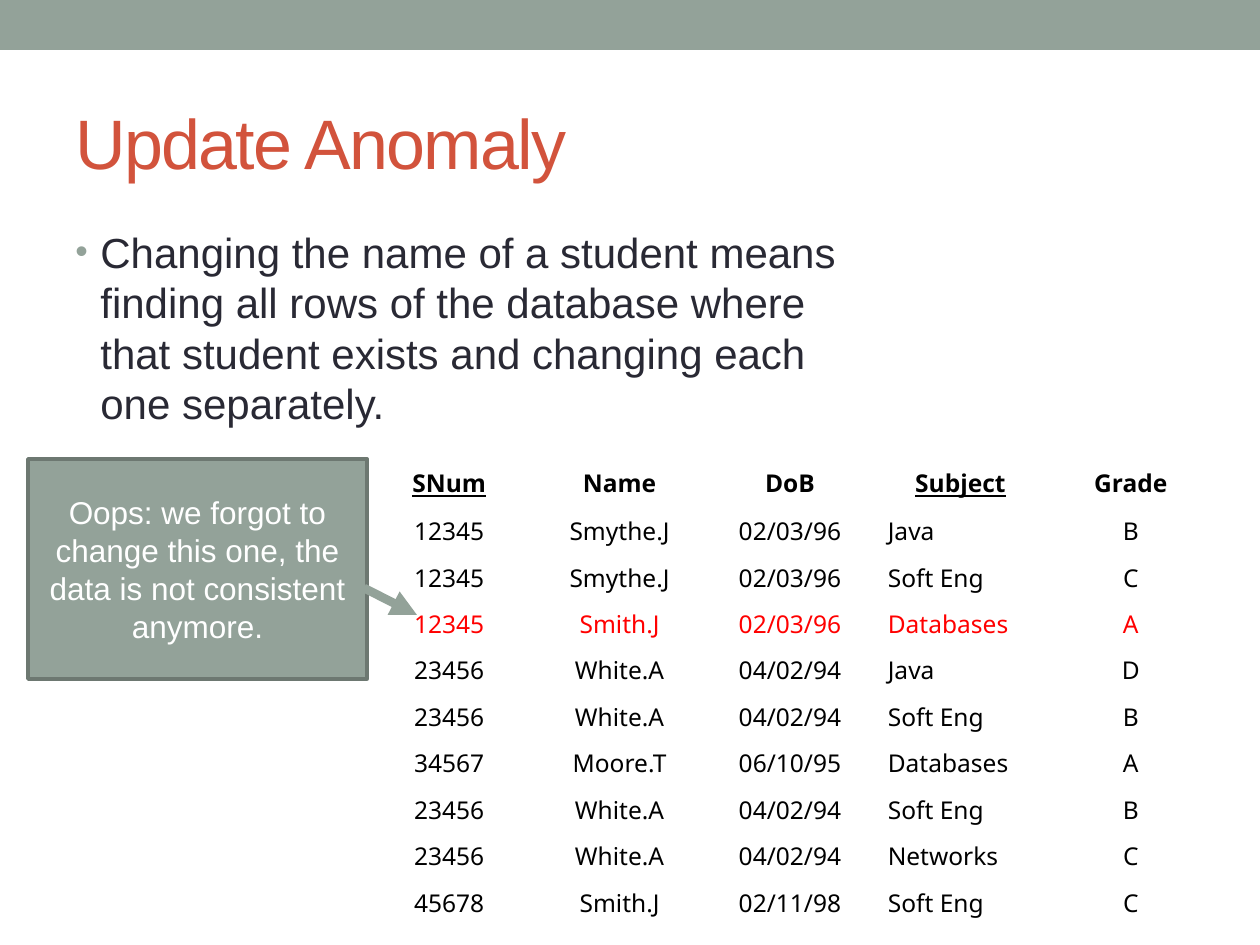
from dataclasses import dataclass
from typing import Any, NamedTuple

from lxml import etree
from pptx import Presentation
from pptx.dml.color import RGBColor
from pptx.enum.shapes import MSO_CONNECTOR, MSO_SHAPE
from pptx.enum.text import MSO_ANCHOR, PP_ALIGN
from pptx.oxml.ns import qn
from pptx.util import Pt

LEFT, CENTER = PP_ALIGN.LEFT, PP_ALIGN.CENTER
TOP, MIDDLE = MSO_ANCHOR.TOP, MSO_ANCHOR.MIDDLE
RECTANGLE = MSO_SHAPE.RECTANGLE
STRAIGHT = MSO_CONNECTOR.STRAIGHT
EMU_PER_PIXEL = 914400 / 126


@dataclass(frozen=True)
class Theme:
    """Colours, fonts and type sizes of the slide."""
    sage: str = "93A299"
    sage_dark: str = "6D7871"
    rust: str = "D2533C"
    ink: str = "292934"
    black: str = "000000"
    red: str = "FF0000"
    white: str = "FFFFFF"
    font: str = "Arial"
    table_font: str = "Noto Sans"
    title_size: int = 40
    body_size: int = 24
    callout_size: int = 18
    table_size: int = 14


class Box(NamedTuple):
    """Left, top, width and height in pixels."""
    left: int
    top: int
    width: int
    height: int


class Enrolment(NamedTuple):
    """One row of the student table."""
    number: str
    name: str
    birth: str
    subject: str
    grade: str


THEME = Theme()
HEADINGS = Enrolment("SNum", "Name", "DoB", "Subject", "Grade")
KEY_HEADINGS = {"SNum", "Subject"}
SUBJECT_COLUMN = HEADINGS.index("Subject")
INCONSISTENT_ROW = 3
ENROLMENTS = [
    Enrolment("12345", "Smythe.J", "02/03/96", "Java", "B"),
    Enrolment("12345", "Smythe.J", "02/03/96", "Soft Eng", "C"),
    Enrolment("12345", "Smith.J", "02/03/96", "Databases", "A"),
    Enrolment("23456", "White.A", "04/02/94", "Java", "D"),
    Enrolment("23456", "White.A", "04/02/94", "Soft Eng", "B"),
    Enrolment("34567", "Moore.T", "06/10/95", "Databases", "A"),
    Enrolment("23456", "White.A", "04/02/94", "Soft Eng", "B"),
    Enrolment("23456", "White.A", "04/02/94", "Networks", "C"),
    Enrolment("45678", "Smith.J", "02/11/98", "Soft Eng", "C"),
]


def px(pixels: float) -> int:
    """Turn pixels into EMU."""
    return round(pixels * EMU_PER_PIXEL)


def emu(box: Box) -> list[int]:
    """Turn a box into EMU lengths."""
    return [px(length) for length in box]


def write(frame: Any, text: str, *, size: int, color: str, font: str = THEME.font,
          align: Any = LEFT, bold: bool = False, underline: bool = False,
          tracking: int = 0, before: float = 0, spacing: float = 1.0) -> Any:
    """Fill a text frame with one formatted paragraph and return it."""
    frame.word_wrap = True
    paragraph = frame.paragraphs[0]
    paragraph.alignment = align
    paragraph.space_before = Pt(before)
    paragraph.line_spacing = spacing
    run = paragraph.add_run()
    run.text = text
    run.font.name = font
    run.font.size = Pt(size)
    run.font.bold = bold
    run.font.underline = underline
    run.font.color.rgb = RGBColor.from_string(color)
    if tracking:
        run.font._element.set("spc", str(tracking))
    return paragraph


def add_bullet(paragraph: Any, color: str, indent: int) -> None:
    """Give a paragraph a coloured hanging bullet."""
    properties = paragraph._p.get_or_add_pPr()
    properties.set("marL", str(px(indent)))
    properties.set("indent", str(-px(indent)))
    bullet_color = etree.SubElement(properties, qn("a:buClr"))
    etree.SubElement(bullet_color, qn("a:srgbClr"), val=color)
    etree.SubElement(properties, qn("a:buSzPct"), val="85000")
    etree.SubElement(properties, qn("a:buFont"), typeface="Arial")
    etree.SubElement(properties, qn("a:buChar"), char="•")


def add_text(slide: Any, box: Box, text: str, anchor: Any = TOP, **style: Any) -> Any:
    """Add a text box and return its paragraph."""
    frame = slide.shapes.add_textbox(*emu(box)).text_frame
    frame.vertical_anchor = anchor
    return write(frame, text, **style)


def add_panel(slide: Any, box: Box, fill: str, border: str | None = None) -> Any:
    """Add a filled rectangle with an optional border."""
    panel = slide.shapes.add_shape(RECTANGLE, *emu(box))
    panel.shadow.inherit = False
    panel.fill.solid()
    panel.fill.fore_color.rgb = RGBColor.from_string(fill)
    if border:
        panel.line.color.rgb = RGBColor.from_string(border)
        panel.line.width = Pt(2.08)
    else:
        panel.line.fill.background()
    return panel


def add_arrow(slide: Any, start: tuple[int, int], end: tuple[int, int], color: str) -> None:
    """Add a thick straight arrow."""
    arrow = slide.shapes.add_connector(STRAIGHT, *map(px, start + end))
    arrow.line.color.rgb = RGBColor.from_string(color)
    arrow.line.width = Pt(5)
    etree.SubElement(arrow.line._get_or_add_ln(), qn("a:tailEnd"), type="triangle")
    etree.SubElement(arrow._element.spPr, qn("a:effectLst"))


def add_enrolments(slide: Any, box: Box, header_height: int) -> None:
    """Add the student table with its inconsistent row in red."""
    records = [HEADINGS, *ENROLMENTS]
    table = slide.shapes.add_table(len(records), len(HEADINGS), *emu(box)).table
    table.first_row = table.horz_banding = False
    for column in table.columns:
        column.width = px(box.width / len(HEADINGS))
    row_height = (box.height - header_height) / len(ENROLMENTS)
    for row, record in enumerate(records):
        header = row == 0
        table.rows[row].height = px(header_height if header else row_height)
        for column, value in enumerate(record):
            cell = table.cell(row, column)
            cell.fill.background()
            cell.margin_top, cell.margin_bottom = px(8), px(6)
            write(cell.text_frame, value, size=THEME.table_size, font=THEME.table_font,
                  color=THEME.red if row == INCONSISTENT_ROW else THEME.black,
                  align=LEFT if column == SUBJECT_COLUMN and not header else CENTER,
                  bold=header, underline=header and value in KEY_HEADINGS,
                  before=8.8, spacing=0.96)


def main() -> None:
    """Build and save the slide."""
    deck = Presentation()
    deck.slide_width, deck.slide_height = px(1260), px(945)
    slide = deck.slides.add_slide(deck.slide_layouts[6])
    add_panel(slide, Box(0, 0, 1260, 50), THEME.sage)
    add_text(slide, Box(63, 73, 1134, 136), "Update Anomaly", MIDDLE,
             size=THEME.title_size, color=THEME.rust, tracking=-100)
    explanation = add_text(
        slide, Box(63, 220, 824, 672),
        "Changing the name of a student means finding all rows of the database "
        "where that student exists and changing each one separately.",
        size=THEME.body_size, color=THEME.ink, before=4.8)
    add_bullet(explanation, THEME.sage, 25)
    add_enrolments(slide, Box(364, 459, 852, 466), 48)
    callout = add_panel(slide, Box(28, 459, 339, 220), THEME.sage, THEME.sage_dark)
    callout.text_frame.vertical_anchor = MIDDLE
    write(callout.text_frame,
          "Oops: we forgot to change this one, the data is not consistent anymore.",
          size=THEME.callout_size, color=THEME.white, align=CENTER)
    add_arrow(slide, (364, 588), (417, 615), THEME.sage)
    deck.save("out.pptx")


main()
